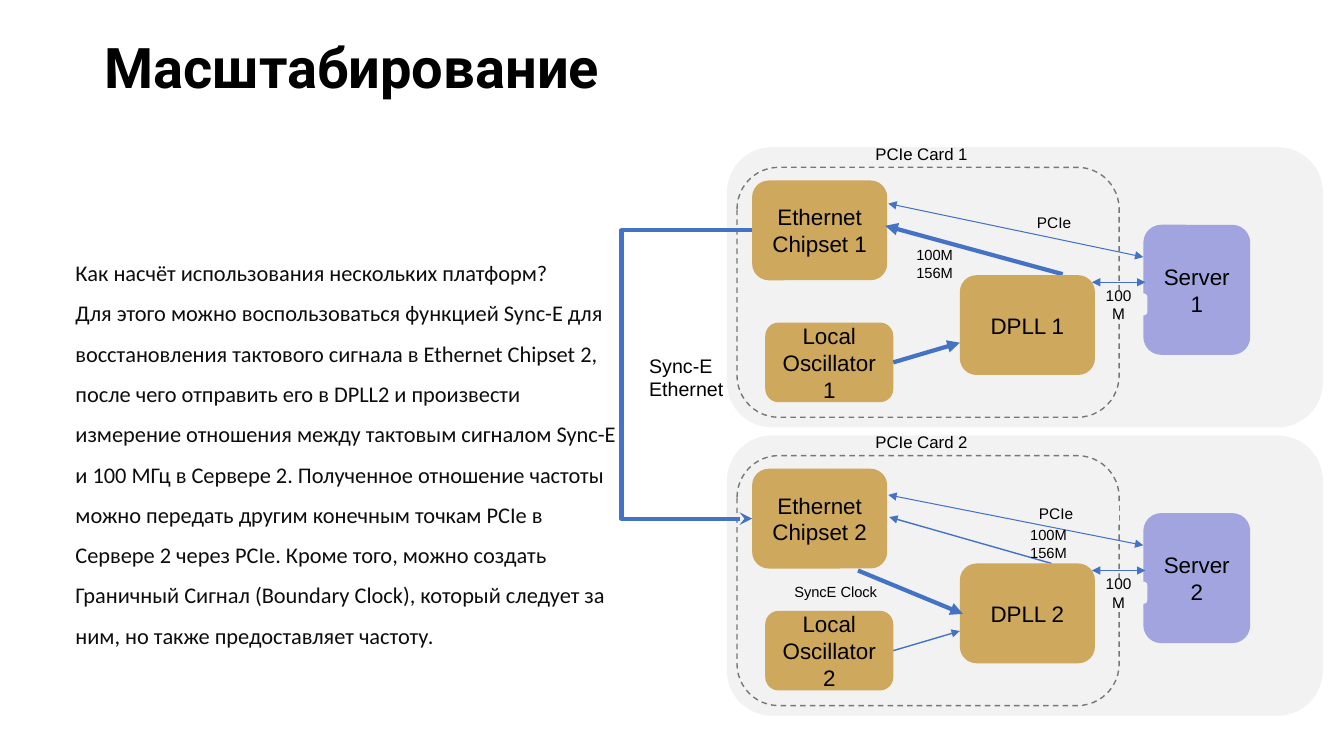
"""Build the scaling slide: two PCIe cards linked by Sync-E Ethernet."""
from lxml.etree import SubElement
from pptx import Presentation
from pptx.dml.color import RGBColor
from pptx.enum.dml import MSO_LINE
from pptx.enum.shapes import MSO_CONNECTOR as CONN, MSO_SHAPE as SHAPE
from pptx.enum.text import MSO_ANCHOR as ANCHOR, MSO_AUTO_SIZE as AUTO, PP_ALIGN as ALIGN
from pptx.oxml.ns import qn
from pptx.util import Emu, Inches, Pt

CELL = Inches(0.1)
CARD_STEP = 28.6
ELBOW_WIDTH = Emu(600)
ELBOW_REACH = 10.8
BLACK, GRAY, GOLD, VIOLET, BLUE = "000000", "F2F2F2", "CEA85C", "A1A4DF", "4472C4"


def color(value):
    """Return the colour of a hex string."""
    return RGBColor.from_string(value)


def cells(*counts):
    """Turn counts of grid cells into lengths."""
    return [Emu(round(n * CELL)) for n in counts]


def write(tf, lines, size, font="Arial", ink=BLACK, bold=False, align=ALIGN.LEFT, spacing=None):
    """Fill a text frame with one paragraph per line."""
    tf.word_wrap = True
    for i, line in enumerate(lines):
        p = tf.add_paragraph() if i else tf.paragraphs[0]
        p.alignment, p.line_spacing = align, spacing
        r = p.add_run()
        r.text = line
        for name, value in {"size": Pt(size), "name": font, "bold": bold}.items():
            setattr(r.font, name, value)
        r.font.color.rgb = color(ink)


def label(s, at, lines, size, **style):
    """Add a text box that grows with its lines."""
    tf = s.shapes.add_textbox(*cells(*at)).text_frame
    write(tf, lines, size, **style)
    tf.auto_size = AUTO.SHAPE_TO_FIT_TEXT
    return tf


def block(s, at, fill=None, text=None, size=16, corner=0.167):
    """Add a rounded block, filled or with a dashed outline."""
    sp = s.shapes.add_shape(SHAPE.ROUNDED_RECTANGLE, *cells(*at))
    sp.shadow.inherit = False
    sp.adjustments[0] = corner
    if fill:
        sp.fill.solid()
        sp.fill.fore_color.rgb = color(fill)
        sp.line.fill.background()
    else:
        sp.fill.background()
        sp.line.color.rgb = color("757778")
        sp.line.width, sp.line.dash_style = Pt(1), MSO_LINE.DASH
    if text:
        sp.text_frame.vertical_anchor = ANCHOR.MIDDLE
        write(sp.text_frame, [text], size, align=ALIGN.CENTER)
    return sp


def arrow(s, start, end, width, head=None, tail="triangle", kind=CONN.STRAIGHT):
    """Add a blue connector with arrowheads."""
    c = s.shapes.add_connector(kind, *cells(*start, *end))
    c.line.color.rgb, c.line.width = color(BLUE), Pt(width)
    ln = c.line._get_or_add_ln()
    for tag, shape in (("a:headEnd", head), ("a:tailEnd", tail)):
        if shape:
            SubElement(ln, qn(tag)).set("type", shape)
    SubElement(c._element.spPr, qn("a:effectLst"))
    return c


def card(s, number, pcie, pcie_start, clock, clock_label, width):
    """Draw one PCIe card with its server and return its chipset."""
    top = (number - 1) * CARD_STEP

    def down(x, y, *size):
        """Shift a place to this card."""
        return (x, y + top, *size)

    block(s, down(72.1, 14.6, 59.1, 27.8), GRAY, corner=0.161)
    block(s, down(73.1, 16.6, 37.9, 24.8))
    chipset = block(s, down(74.6, 17.9, 13.4, 9.9), GOLD, f"Ethernet Chipset {number}")
    oscillator = block(s, down(75.9, 32, 12.7, 7.9), GOLD, f"Local Oscillator {number}")
    arrow(s, down(*clock[0]), down(*clock[1]), width)
    block(s, down(*pcie, 12.5, 2.2), GRAY, "PCIe", 11)
    label(s, down(84, 13.75, 14.8, 3), [f"PCIe Card {number}"], 12, align=ALIGN.CENTER)
    arrow(s, down(*pcie_start), down(113.4, 25.5), 0.75, head="triangle")
    block(s, down(113.4, 22.3, 10.6, 12.9), VIOLET, f"Server {number}")
    arrow(s, down(108.3, 28), down(113.6, 28), 0.75, head="triangle")
    block(s, down(108.1, 29.1, 5.7, 2.2), GRAY, "100M", 11)
    block(s, down(95.2, 27.3, 13.4, 9.9), GOLD, f"DPLL {number}")
    arrow(s, down(88.6, 35.9), down(95.2, 34), width).begin_connect(oscillator, 3)
    label(s, down(*clock_label, 6, 4.5), ["100M", "156M"], 10.5)
    return chipset


def sync_link(s, source, target):
    """Link the left sides of two chipsets with an elbow arrow."""
    c = arrow(s, (74.6, 51.5), (74.6, 22.8), 3, "stealth", None, CONN.ELBOW)
    c.begin_connect(target, 1)
    c.end_connect(source, 1)
    c.width = ELBOW_WIDTH
    xfrm = c._element.spPr.find(qn("a:xfrm"))
    xfrm.attrib.pop("flipV", None)
    xfrm.set("rot", "10800000")
    xfrm.set("flipH", "1")
    guides = c._element.spPr.find(qn("a:prstGeom")).get_or_add_avLst()
    guide = SubElement(guides, qn("a:gd"))
    guide.set("name", "adj1")
    guide.set("fmla", f"val {-round(ELBOW_REACH * CELL / ELBOW_WIDTH * 100000)}")


def main():
    """Build and save the slide."""
    prs = Presentation()
    prs.slide_width, prs.slide_height = Inches(13.33), Inches(7.5)
    s = prs.slides.add_slide(prs.slide_layouts[6])
    title = s.shapes.add_textbox(*cells(9.9, 4.3, 121.3, 5.4)).text_frame
    margins = dict(margin_left=0.05, margin_right=0.05, margin_top=0.02, margin_bottom=0.02)
    for name, value in margins.items():
        setattr(title, name, Inches(value))
    title.vertical_anchor = ANCHOR.MIDDLE
    write(title, ["Масштабирование"], 40, font="Roboto", bold=True, spacing=0.9)
    label(s, (6.5, 23.9, 55.8, 41.4), [
        "Как насчёт использования нескольких платформ?",
        "Для этого можно воспользоваться функцией Sync-E для восстановления тактового "
        "сигнала в Ethernet Chipset 2, после чего отправить его в DPLL2 и произвести "
        "измерение отношения между тактовым сигналом Sync-E и 100 МГц в Сервере 2. "
        "Полученное отношение частоты можно передать другим конечным точкам PCIe в "
        "Сервере 2 через PCIe. Кроме того, можно создать Граничный Сигнал (Boundary "
        "Clock), который следует за ним, но также предоставляет частоту.",
    ], 16, font="Calibri", ink="0D0D0D", spacing=1.5)
    first = card(s, 1, (98.3, 21), (88.1, 20.2), ((105.4, 27.2), (87.8, 22.4)), (89.9, 23.9), 3)
    second = card(s, 2, (98.5, 21.2), (88.1, 20.5), ((104.3, 27.3), (88.2, 22.7)), (101.2, 23.1), 1)
    sync_link(s, first, second)
    label(s, (63.4, 34.6, 10.4, 5.7), ["Sync-E", "Ethernet"], 14)
    arrow(s, (85.1, 56.6), (95.5, 60.9), 3)
    label(s, (77.8, 57.3, 10.4, 2.8), ["SyncE Clock"], 10.5)
    prs.save("out.pptx")


if __name__ == "__main__":
    main()
